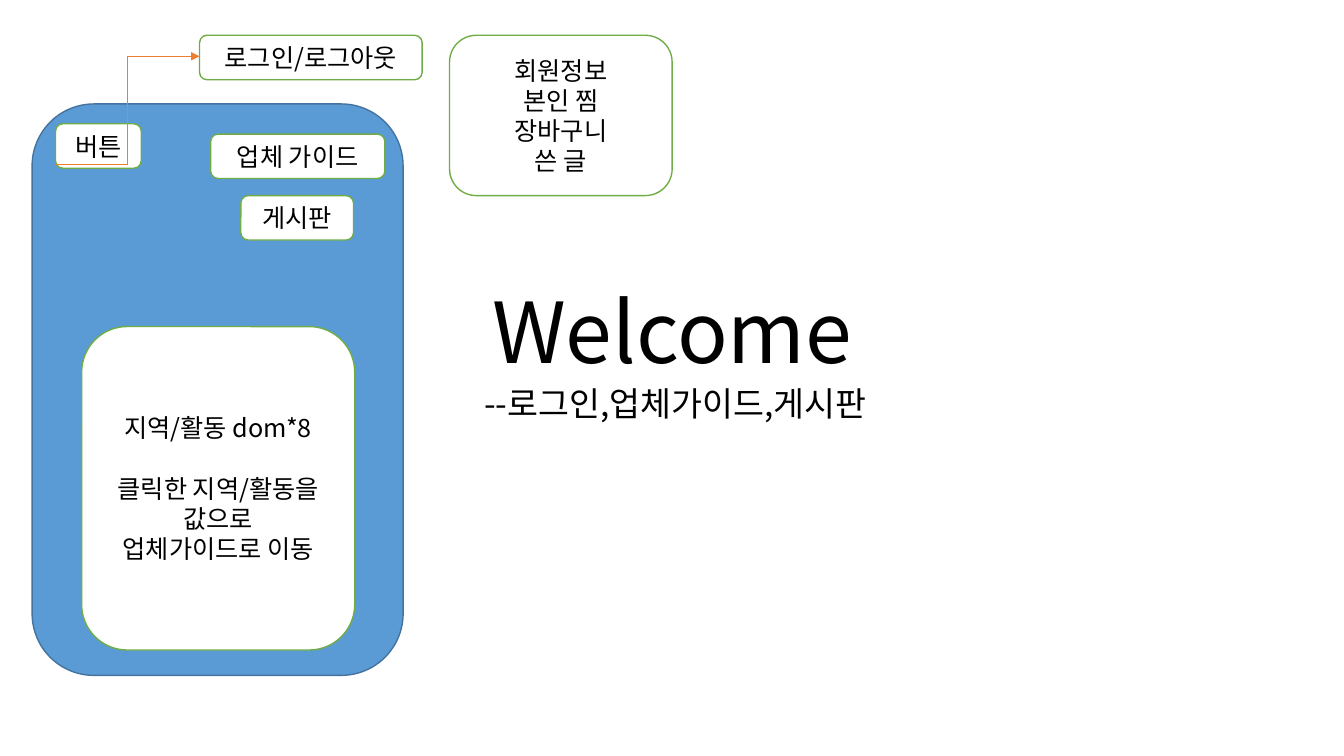
from lxml import etree
from pptx import Presentation
from pptx.dml.color import RGBColor
from pptx.enum.shapes import MSO_CONNECTOR, MSO_SHAPE
from pptx.enum.text import MSO_ANCHOR, PP_ALIGN
from pptx.oxml.ns import qn
from pptx.util import Cm, Pt

ROUNDED = MSO_SHAPE.ROUNDED_RECTANGLE
ELBOW = MSO_CONNECTOR.ELBOW
TOP, MIDDLE, BOTTOM = MSO_ANCHOR.TOP, MSO_ANCHOR.MIDDLE, MSO_ANCHOR.BOTTOM
CENTER = PP_ALIGN.CENTER

FONT = "Noto Sans CJK KR"
WHITE, BLACK, GREEN = "FFFFFF", "000000", "70AD47"
BLUE, DARK_BLUE, ORANGE = "5B9BD5", "43739E", "ED7D31"
LABEL_HEIGHT = 1.12

HEADINGS = [
    ("Welcome", (4.24, 3.12, 25.4, 6.63), dict(size=60, anchor=BOTTOM, line_spacing=0.9)),
    ("--로그인,업체가이드,게시판", (4.32, 9.63, 25.4, 4.6),
     dict(size=24, anchor=TOP, line_spacing=0.9, before=10)),
]
PHONE = (0.81, 2.62, 9.35, 14.4)
LABELS = [
    ("로그인/로그아웃", 5.03, 0.89, 5.61),
    ("업체 가이드", 5.31, 3.38, 4.39),
    ("게시판", 6.07, 4.93, 2.84),
    ("버튼", 1.4, 3.12, 2.16),
]
PANELS = [
    ("지역/활동 dom*8\n클릭한 지역/활동을 값으로\n업체가이드로 이동", (2.06, 8.23, 6.88, 8.15), 21.6),
    ("회원정보\n본인 찜\v장바구니\n쓴 글", (11.33, 0.89, 5.61, 4.04), 0),
]
LOGIN_ARROW = (1.4, 4.14, 5.03, 1.42)


def color(hex_value):
    return RGBColor.from_string(hex_value)


def write(frame, text, size=18, anchor=MIDDLE, line_spacing=None, before=0, first_gap=0):
    frame.word_wrap = True
    frame.vertical_anchor = anchor
    frame.text = text
    for paragraph in frame.paragraphs:
        paragraph.alignment = CENTER
        paragraph.space_before = Pt(before)
        if line_spacing:
            paragraph.line_spacing = line_spacing
        for run in paragraph.runs:
            run.font.size = Pt(size)
            run.font.name = FONT
            run.font.color.rgb = color(BLACK)
            etree.SubElement(run.font._element, qn("a:ea"), typeface=FONT)
    if first_gap:
        frame.paragraphs[0].space_after = Pt(first_gap)


def add_box(slide, place, fill=WHITE, outline=GREEN):
    box = slide.shapes.add_shape(ROUNDED, *map(Cm, place))
    box.shadow.inherit = False
    box.fill.solid()
    box.fill.fore_color.rgb = color(fill)
    box.line.color.rgb = color(outline)
    box.line.width = Pt(1)
    return box


def add_arrow(slide, ends):
    arrow = slide.shapes.add_connector(ELBOW, *map(Cm, ends))
    arrow.line.color.rgb = color(ORANGE)
    arrow.line.width = Pt(1)
    etree.SubElement(arrow.line._get_or_add_ln(), qn("a:tailEnd"), type="triangle")
    etree.SubElement(arrow._element.spPr, qn("a:effectLst"))


deck = Presentation()
deck.slide_width, deck.slide_height = Cm(33.87), Cm(19.05)
slide = deck.slides.add_slide(deck.slide_layouts[6])

for text, place, style in HEADINGS:
    heading = slide.shapes.add_textbox(*map(Cm, place))
    write(heading.text_frame, text, **style)

add_box(slide, PHONE, BLUE, DARK_BLUE)
for text, left, top, width in LABELS:
    label = add_box(slide, (left, top, width, LABEL_HEIGHT))
    write(label.text_frame, text)
for text, place, first_gap in PANELS:
    panel = add_box(slide, place)
    write(panel.text_frame, text, first_gap=first_gap)
add_arrow(slide, LOGIN_ARROW)

deck.save("out.pptx")
